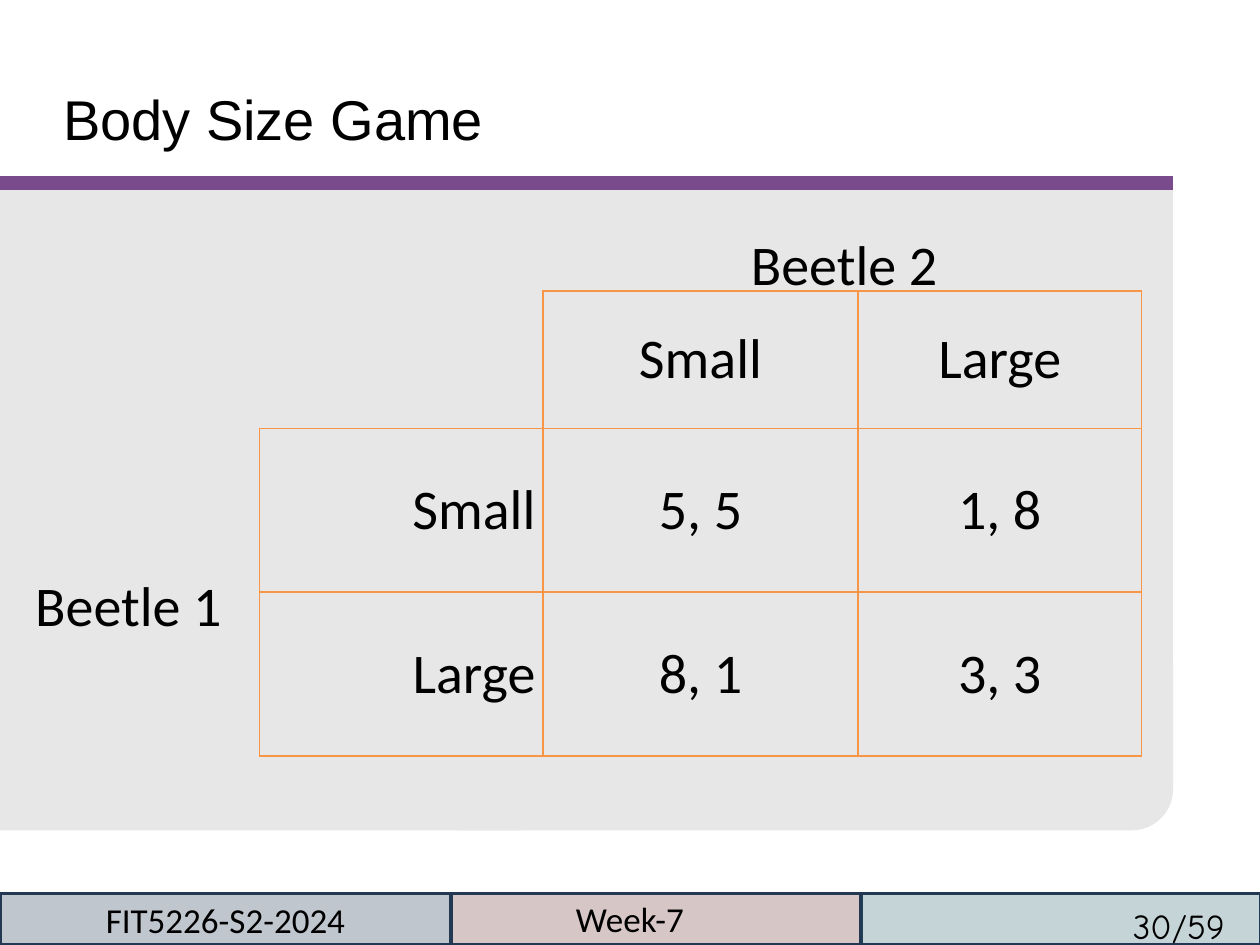
import pptx
import pptx.dml.color
import pptx.enum.shapes
import pptx.enum.text
import pptx.oxml
import pptx.oxml.ns
import pptx.util

Inches = pptx.util.Inches
Pt = pptx.util.Pt
RGBColor = pptx.dml.color.RGBColor
Shape = pptx.enum.shapes.MSO_SHAPE
Align = pptx.enum.text.PP_ALIGN
Anchor = pptx.enum.text.MSO_ANCHOR

BLACK = RGBColor(0x00, 0x00, 0x00)
PANEL = RGBColor(0xE7, 0xE7, 0xE7)
PURPLE = RGBColor(0x79, 0x4A, 0x8C)
ORANGE = RGBColor(0xF7, 0x96, 0x46)
NAVY = RGBColor(0x0F, 0x24, 0x3E)
MAROON = RGBColor(0x63, 0x25, 0x23)
TEAL = RGBColor(0x21, 0x59, 0x68)
FOOTER_LINE = RGBColor(0x23, 0x39, 0x53)


class SlideBuilder:
    body_font = "Calibri"
    body_size = 32
    footer_size = 20

    def __init__(self, deck):
        self.page = deck.slides.add_slide(deck.slide_layouts[5])

    def add_text(self, frame, text, size=body_size, font=body_font, align=Align.LEFT):
        para = frame.paragraphs[0]
        para.alignment = align
        span = para.add_run()
        span.text = text
        span.font.name = font
        span.font.size = Pt(size)
        span.font.color.rgb = BLACK

    def clear_margins(self, frame):
        frame.margin_left = frame.margin_right = 0
        frame.margin_top = frame.margin_bottom = 0

    def title(self, text, left, top, width, height):
        box = self.page.shapes.title
        box.left, box.top = Inches(left), Inches(top)
        box.width, box.height = Inches(width), Inches(height)
        frame = box.text_frame
        self.clear_margins(frame)
        frame.vertical_anchor = Anchor.TOP
        frame.auto_size = pptx.enum.text.MSO_AUTO_SIZE.NONE
        self.add_text(frame, text, font="Arial")

    def label(self, text, left, top, width, height, **style):
        box = self.page.shapes.add_textbox(
            Inches(left), Inches(top), Inches(width), Inches(height))
        frame = box.text_frame
        frame.word_wrap = True
        self.clear_margins(frame)
        self.add_text(frame, text, **style)

    def block(self, left, top, width, height, color, kind=Shape.RECTANGLE):
        box = self.page.shapes.add_shape(
            kind, Inches(left), Inches(top), Inches(width), Inches(height))
        box.shadow.inherit = False
        box.fill.solid()
        box.fill.fore_color.rgb = color
        box.line.fill.background()
        return box

    def footer_cell(self, left, width, color):
        box = self.block(left, 7.09, width, 0.41, color)
        fill_color = box._element.spPr.find(".//" + pptx.oxml.ns.qn("a:srgbClr"))
        fill_color.append(pptx.oxml.parse_xml(
            f'<a:alpha {pptx.oxml.ns.nsdecls("a")} val="26000"/>'))
        box.line.color.rgb = FOOTER_LINE
        box.line.width = Pt(2)
        return box

    def rule(self, left, right, top, color, width):
        line = self.page.shapes.add_connector(
            pptx.enum.shapes.MSO_CONNECTOR.STRAIGHT,
            Inches(left), Inches(top), Inches(right), Inches(top))
        line.line.color.rgb = color
        line.line.width = Pt(width)
        line._element.spPr.append(pptx.oxml.parse_xml(
            f'<a:effectLst {pptx.oxml.ns.nsdecls("a")}/>'))

    def border(self, cell, sides):
        properties = cell._tc.get_or_add_tcPr()
        for side in "LRTB":
            if side in sides:
                paint = f'<a:solidFill><a:srgbClr val="{ORANGE}"/></a:solidFill>'
            else:
                paint = "<a:noFill/>"
            properties.append(pptx.oxml.parse_xml(
                f'<a:ln{side} {pptx.oxml.ns.nsdecls("a")} w="12700">'
                f'{paint}</a:ln{side}>'))

    def payoff_table(self, rows, left, top, widths, heights):
        table = self.page.shapes.add_table(
            len(rows), len(widths), Inches(left), Inches(top),
            Inches(sum(widths)), Inches(sum(heights))).table
        table.first_row = table.horz_banding = False
        for column, width in zip(table.columns, widths):
            column.width = Inches(width)
        for row, height in zip(table.rows, heights):
            row.height = Inches(height)
        for i, values in enumerate(rows):
            for j, value in enumerate(values):
                cell = table.cell(i, j)
                # The empty corner keeps only its inner borders
                self.border(cell, "LRTB" if value else "RB")
                cell.fill.solid()
                cell.fill.fore_color.rgb = PANEL
                cell.vertical_anchor = Anchor.MIDDLE
                self.clear_margins(cell)
                if j == 0:
                    cell.margin_right = Inches(0.06)
                if value:
                    self.add_text(cell.text_frame, value,
                                  align=Align.CENTER if j else Align.RIGHT)


def main():
    deck = pptx.Presentation()
    deck.slide_width, deck.slide_height = Inches(10), Inches(7.5)
    slide = SlideBuilder(deck)

    # Grey panel with one rounded corner, under a purple rule
    slide.block(0, 1.49, 9.31, 4.36, PANEL)
    corner = slide.block(3.33, 4.67, 5.98, 1.92, PANEL, Shape.ROUNDED_RECTANGLE)
    corner.adjustments[0] = 0.17
    slide.block(0, 2.74, 4.14, 3.85, PANEL)
    slide.rule(0, 9.31, 1.45, PURPLE, 8)

    # Title and player names
    slide.title("Body Size Game", 0.5, 0.67, 6.94, 0.6)
    slide.label("Beetle 2", 4.94, 1.82, 2.5, 0.49, align=Align.RIGHT)
    slide.label("Beetle 1", 0.28, 4.53, 1.6, 0.49)

    # Payoffs
    slide.payoff_table(
        [["", "Small", "Large"],
         ["Small", "5, 5", "1, 8"],
         ["Large", "8, 1", "3, 3"]],
        2.06, 2.31, [2.25, 2.5, 2.25], [1.09, 1.3, 1.3])

    # Footer
    size = slide.footer_size
    slide.footer_cell(3.58, 3.26, MAROON)
    slide.footer_cell(6.83, 3.18, TEAL)
    slide.label("30/59", 8.99, 7.18, 1.02, 0.35, size=size, font="Comic Neue")
    slide.label("Week-7", 3.4, 7.12, 3.2, 0.34, size=size, align=Align.CENTER)
    course = slide.footer_cell(0, 3.58, NAVY)
    course.text_frame.vertical_anchor = Anchor.MIDDLE
    slide.add_text(course.text_frame, "FIT5226-S2-2024", size=size, align=Align.CENTER)

    deck.save("out.pptx")


if __name__ == "__main__":
    main()
